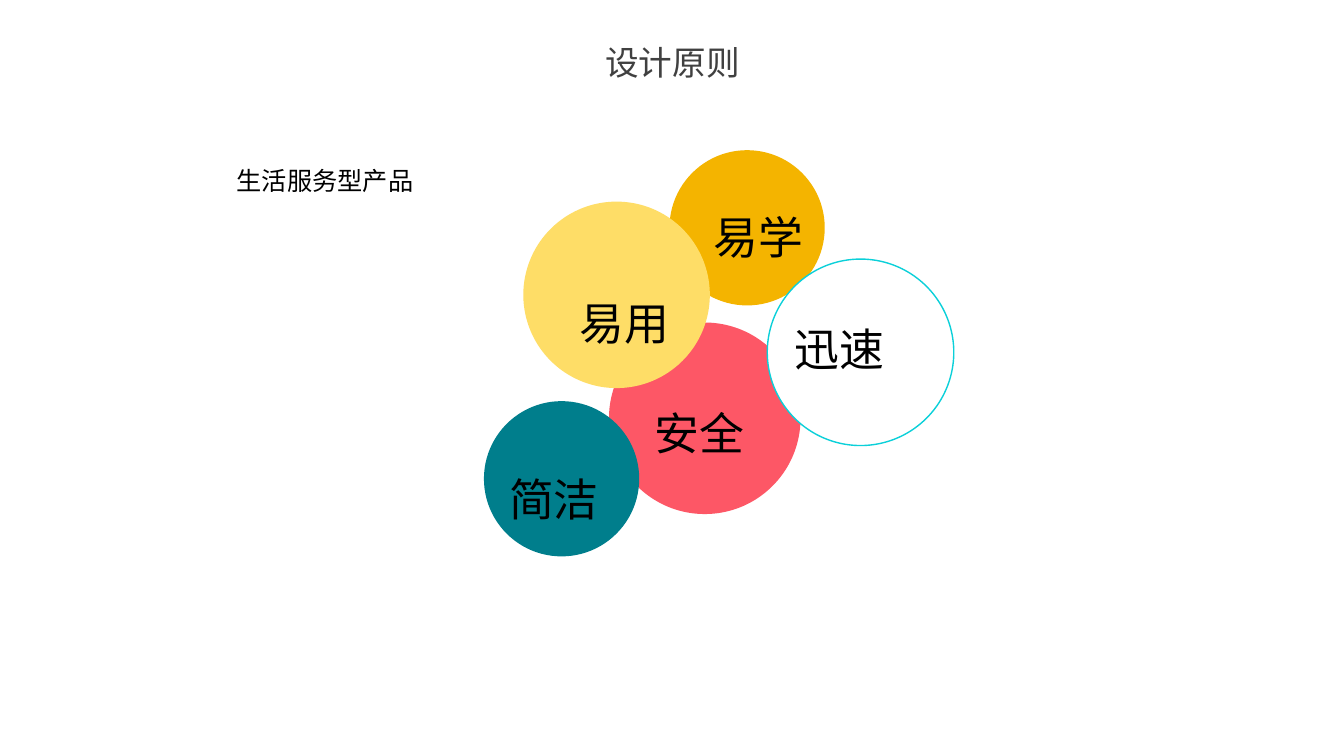
"""Build the design principles slide with five overlapping circles."""
from dataclasses import dataclass
from typing import Optional

from pptx import Presentation
from pptx.dml.color import RGBColor
from pptx.enum.shapes import MSO_SHAPE
from pptx.enum.text import MSO_ANCHOR, PP_ALIGN
from pptx.slide import Slide
from pptx.util import Inches, Pt

OVAL = MSO_SHAPE.OVAL
TOP, MIDDLE = MSO_ANCHOR.TOP, MSO_ANCHOR.MIDDLE
LEFT, CENTER = PP_ALIGN.LEFT, PP_ALIGN.CENTER


@dataclass(frozen=True)
class Theme:
    """Colours, fonts and type sizes of the slide."""
    red: str = "FD5766"
    teal: str = "007E8C"
    amber: str = "F4B400"
    yellow: str = "FEDD67"
    white: str = "FFFFFF"
    cyan: str = "0BD0D9"
    gray: str = "404040"
    black: str = "000000"
    head: str = "Noto Sans CJK SC"
    body: str = "Calibri"
    title: int = 24
    topic: int = 18
    label: int = 32


THEME = Theme()


@dataclass(frozen=True)
class Circle:
    """A filled circle placed by its top left corner."""
    left: float
    top: float
    size: float
    fill: str
    line: Optional[str] = None


@dataclass(frozen=True)
class Label:
    """A one-line text with its box and format."""
    text: str
    left: float
    top: float
    width: float
    height: float = 0.3
    size: int = THEME.label
    font: str = THEME.body
    color: str = THEME.black
    space: float = 1.15
    inset: float = 0
    level: int = 0
    wrap: bool = True
    anchor: MSO_ANCHOR = TOP
    align: PP_ALIGN = LEFT


CIRCLES = (
    Circle(6.04, 3.2, 1.9, THEME.red),
    Circle(4.8, 3.98, 1.54, THEME.teal),
    Circle(6.64, 1.49, 1.54, THEME.amber),
    Circle(5.19, 2, 1.85, THEME.yellow),
    Circle(7.61, 2.57, 1.85, THEME.white, THEME.cyan),
)

LABELS = (
    Label("设计原则", 3.19, 0.25, 6.96, 0.53, THEME.title, THEME.head,
          THEME.gray, 1.5, anchor=MIDDLE, align=CENTER),
    Label("安全", 6.49, 3.95, 0.91),
    Label("简洁", 5.05, 4.6, 1.06),
    Label("易用", 5.75, 2.85, 1.17),
    Label("易学", 7.08, 2, 1.31),
    Label("迅速", 7.88, 3.11, 1),
    Label("生活服务型产品", 1.25, 1.29, 2.98, 0.71, THEME.topic,
          space=2, inset=0.1, level=2, wrap=False),
)


def assign(target: object, values: dict) -> None:
    """Set each named value on the target."""
    for name, value in values.items():
        setattr(target, name, value)


def draw_circle(slide: Slide, circle: Circle) -> None:
    """Draw one circle with its fill and optional line."""
    size = Inches(circle.size)
    shape = slide.shapes.add_shape(
        OVAL, Inches(circle.left), Inches(circle.top), size, size)
    shape.shadow.inherit = False
    shape.fill.solid()
    shape.fill.fore_color.rgb = RGBColor.from_string(circle.fill)
    if circle.line:
        shape.line.color.rgb = RGBColor.from_string(circle.line)
        shape.line.width = Pt(1)
    else:
        shape.line.fill.background()


def draw_label(slide: Slide, label: Label) -> None:
    """Draw one text box with its format."""
    box = slide.shapes.add_textbox(
        Inches(label.left), Inches(label.top),
        Inches(label.width), Inches(label.height))
    frame = box.text_frame
    side, edge = Inches(label.inset), Inches(label.inset / 2)
    assign(frame, {
        "word_wrap": label.wrap, "vertical_anchor": label.anchor,
        "margin_left": side, "margin_right": side,
        "margin_top": edge, "margin_bottom": edge,
    })
    line = frame.paragraphs[0]
    assign(line, {"level": label.level, "alignment": label.align,
                  "line_spacing": label.space})
    run = line.add_run()
    run.text = label.text
    assign(run.font, {"name": label.font, "size": Pt(label.size)})
    run.font.color.rgb = RGBColor.from_string(label.color)


def main() -> None:
    """Build and save the slide."""
    deck = Presentation()
    assign(deck, {"slide_width": Inches(13.33), "slide_height": Inches(7.5)})
    slide = deck.slides.add_slide(deck.slide_layouts[6])
    for circle in CIRCLES:
        draw_circle(slide, circle)
    for label in LABELS:
        draw_label(slide, label)
    deck.save("out.pptx")


if __name__ == "__main__":
    main()
